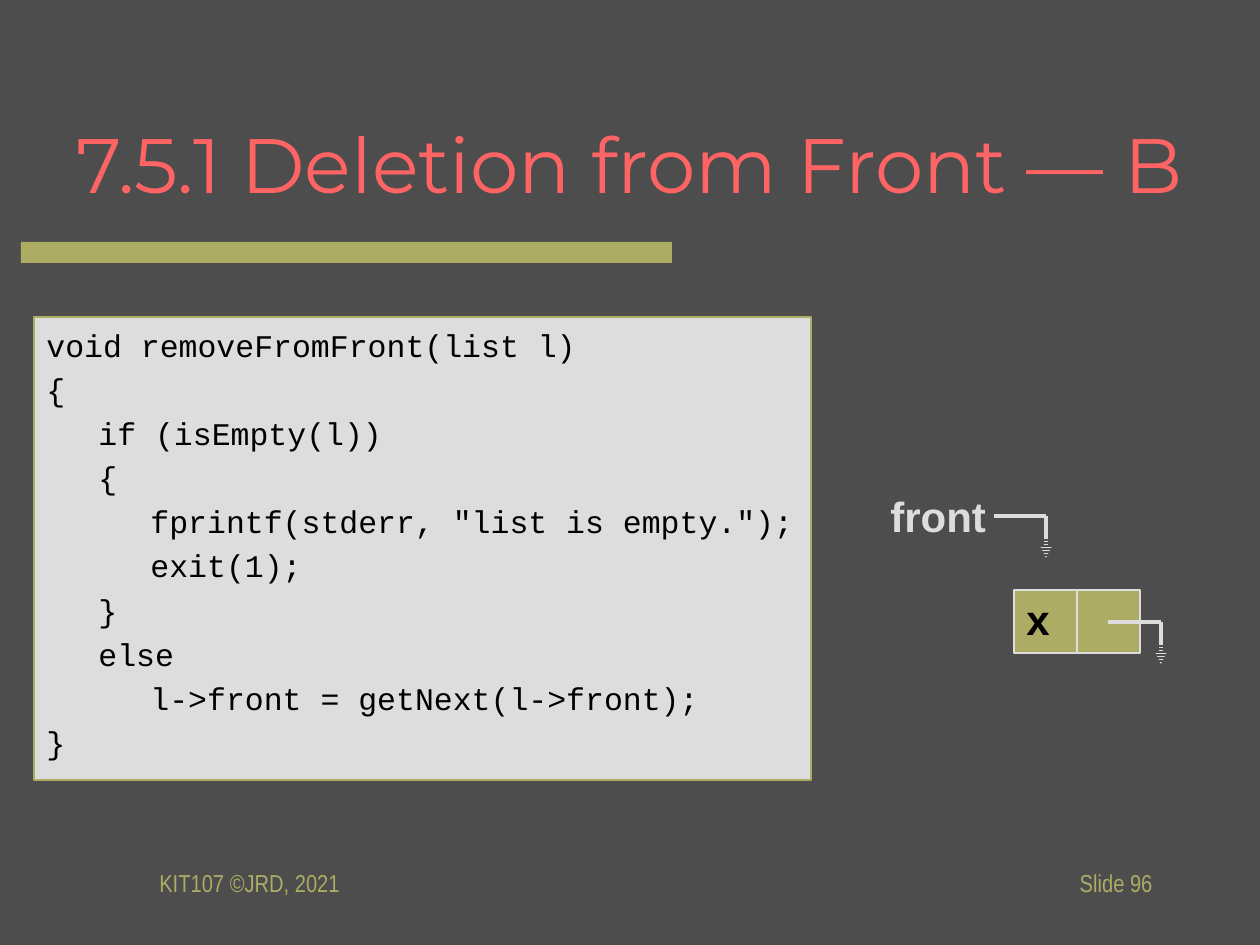
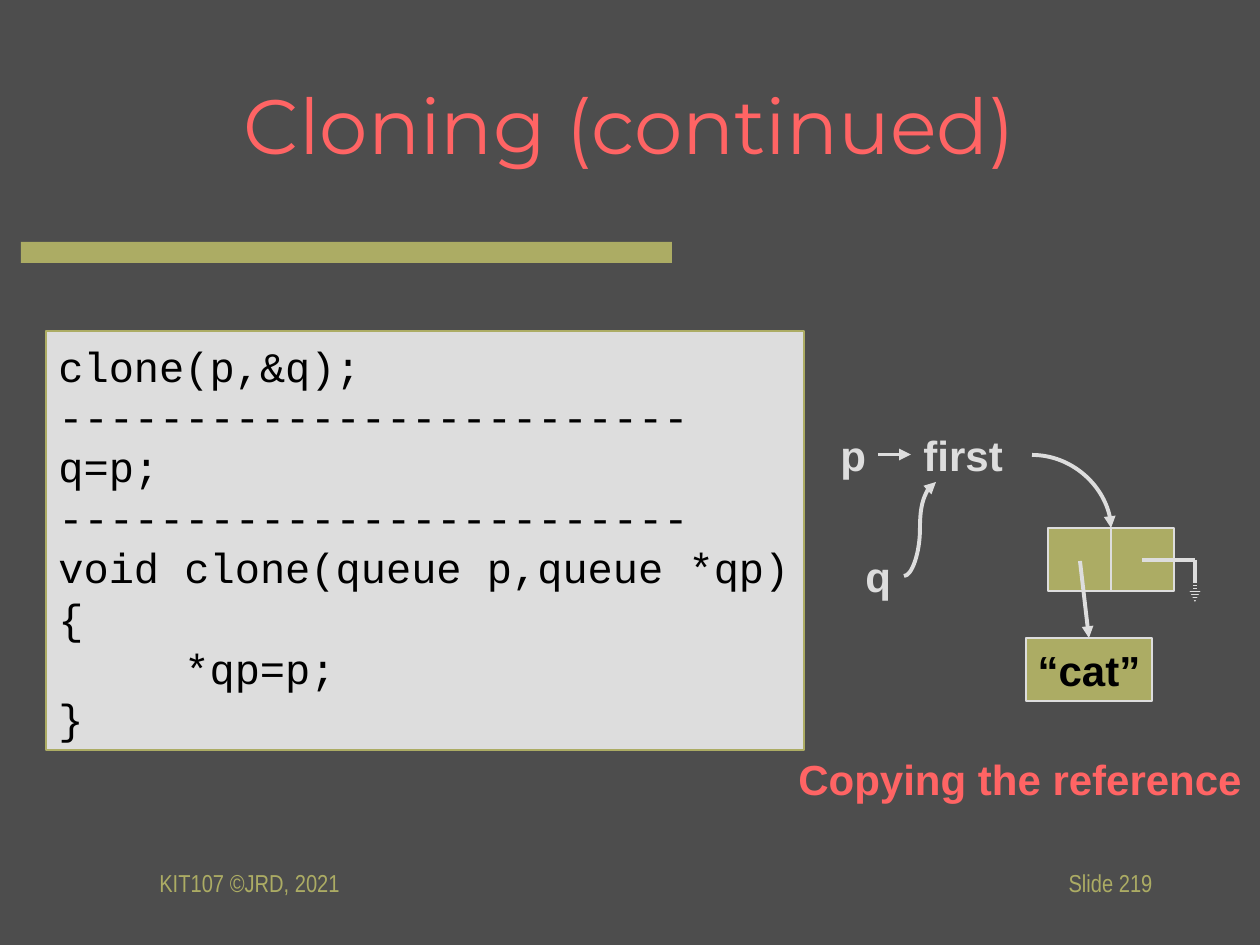
import dataclasses

import pptx
import pptx.dml.color
import pptx.enum.shapes
import pptx.enum.text
import pptx.oxml
import pptx.oxml.ns
import pptx.util
import lxml.etree

PX = pptx.util.Inches(1) / 126
ALIGN = pptx.enum.text.PP_ALIGN
ANCHOR = pptx.enum.text.MSO_ANCHOR
CONNECTOR = pptx.enum.shapes.MSO_CONNECTOR
qn = pptx.oxml.ns.qn


@dataclasses.dataclass(frozen=True)
class Theme:
    backdrop: str = "4D4D4D"
    olive: str = "ACAC64"
    pale: str = "DDDDDD"
    coral: str = "FF6464"
    ink: str = "000000"
    title_font: str = "Montserrat"
    label_font: str = "Arial"
    footer_font: str = "Arial Narrow"
    code_font: str = "Courier New"
    title_size: int = 44
    label_size: int = 24
    footer_size: int = 14
    thin: float = 1
    thick: float = 2.25


THEME = Theme()

REMOVE_CODE = """void removeFromFront(list l)
{
\tif (isEmpty(l))
\t{
\t\tfprintf(stderr, "list is empty.");
\t\texit(1);
\t}
\telse
\t\tl->front = getNext(l->front);
}"""

CLONE_CODE = """clone(p,&q);
-------------------------
q=p;
-------------------------
void clone(queue p,queue *qp)
{
\t*qp=p;
}"""


def emu(px):
    return round(px * PX)


def rgb(value):
    return pptx.dml.color.RGBColor.from_string(value)


def set_tabs(paragraph, step):
    tabs = lxml.etree.SubElement(paragraph._p.get_or_add_pPr(), qn("a:tabLst"))
    for level in (1, 2):
        lxml.etree.SubElement(tabs, qn("a:tab"), pos=str(emu(level * step)), algn="l")


def write(shape, text, font=THEME.label_font, size=THEME.label_size, color=THEME.pale,
          bold=False, align=ALIGN.LEFT, anchor=ANCHOR.MIDDLE, wrap=False,
          top_inset=6, tab_step=None, line_pitch=None, gap=0):
    frame = shape.text_frame
    frame.auto_size = pptx.enum.text.MSO_AUTO_SIZE.NONE
    frame.word_wrap = wrap
    frame.vertical_anchor = anchor
    frame.margin_top = emu(top_inset)
    for index, line in enumerate(text.split("\n")):
        paragraph = frame.add_paragraph() if index else frame.paragraphs[0]
        if tab_step:
            set_tabs(paragraph, tab_step)
        paragraph.alignment = align
        if line_pitch:
            paragraph.line_spacing = pptx.util.Pt(line_pitch)
        if index and gap:
            paragraph.space_before = pptx.util.Pt(gap)
        run = paragraph.add_run()
        run.text = line
        run.font.name = font
        run.font.size = pptx.util.Pt(size)
        run.font.bold = bold
        run.font.color.rgb = rgb(color)


def add_label(slide, text, left, top, width, height=63, **text_format):
    label = slide.shapes.add_textbox(*map(emu, (left, top, width, height)))
    write(label, text, **text_format)
    return label


def add_box(slide, left, top, width, height, fill=THEME.olive, outline=None):
    box = slide.shapes.add_shape(pptx.enum.shapes.MSO_SHAPE.RECTANGLE,
                                 *map(emu, (left, top, width, height)))
    box.shadow.inherit = False
    box.fill.solid()
    box.fill.fore_color.rgb = rgb(fill)
    if outline:
        box.line.color.rgb = rgb(outline)
        box.line.width = pptx.util.Pt(THEME.thin)
    else:
        box.line.fill.background()
    return box


def add_line(slide, start, end, color=THEME.pale, width=THEME.thick, arrow=False,
             kind=CONNECTOR.STRAIGHT):
    line = slide.shapes.add_connector(kind, *map(emu, (*start, *end)))
    line.line.color.rgb = rgb(color)
    line.line.width = pptx.util.Pt(width)
    properties = line.element.spPr
    if arrow:
        lxml.etree.SubElement(properties.find(qn("a:ln")), qn("a:tailEnd"), type="triangle")
    lxml.etree.SubElement(properties, qn("a:effectLst"))
    return line


def add_ground(slide, left, top, reach):
    right, tip = left + reach, top + 42
    add_line(slide, (left, top), (right, top))
    add_line(slide, (right, top), (right, tip), arrow=True)
    for stripe in range(tip - 18, tip, 3):
        add_line(slide, (right - 16, stripe), (right + 16, stripe),
                 color=THEME.backdrop, width=THEME.thin)


def add_node(slide, left, top):
    node = add_box(slide, left, top, 126, 63, outline=THEME.pale)
    divider = add_line(slide, (left + 63, top), (left + 63, top + 63), width=THEME.thin)
    divider.begin_connect(node, 0)
    divider.end_connect(node, 2)
    add_ground(slide, left + 94, top + 32, 53)


def add_code(slide, code, left, top, width, height, size, **text_format):
    panel = add_box(slide, left, top, width, height, fill=THEME.pale, outline=THEME.olive)
    write(panel, code, font=THEME.code_font, size=size, color=THEME.ink, top_inset=9,
          anchor=ANCHOR.TOP, line_pitch=size * 1.2, **text_format)


def start_slide(deck, title, number, left, top, width):
    slide = deck.slides.add_slide(deck.slide_layouts[5])
    heading = slide.shapes.title
    heading.left, heading.top, heading.width, heading.height = map(emu, (left, top, width, 158))
    write(heading, title, font=THEME.title_font, size=THEME.title_size, color=THEME.coral,
          align=ALIGN.CENTER, wrap=True)
    add_box(slide, 21, 242, 651, 21)
    for text, edge, align in (("KIT107 ©JRD, 2021", 147, ALIGN.LEFT),
                              (f"Slide {number}", 903, ALIGN.RIGHT)):
        add_label(slide, text, edge, 851, 262, font=THEME.footer_font,
                  size=THEME.footer_size, color=THEME.olive, align=align, wrap=True)
    return slide


def build_deletion(deck):
    slide = start_slide(deck, "7.5.1 Deletion from Front — B", 96, 0, 84, 1260)
    add_code(slide, REMOVE_CODE, 34, 317, 777, 463, 18, tab_step=52, gap=3.6)
    add_label(slide, "front", 878, 484, 121, bold=True)
    add_ground(slide, 994, 516, 52)
    add_node(slide, 1014, 590)
    add_label(slide, "x", 1014, 587, 49, color=THEME.ink, bold=True)


def build_cloning(deck):
    slide = start_slide(deck, "Cloning (continued)", 219, 94, 45, 1071)
    add_code(slide, CLONE_CODE, 46, 331, 758, 419, 24, tab_step=126, wrap=True)

    p = add_label(slide, "p", 828, 423, 50, bold=True)
    first = add_label(slide, "first", 911, 423, 105, bold=True)
    p_to_first = add_line(slide, (878, 455), (911, 455), arrow=True)
    p_to_first.begin_connect(p, 3)
    p_to_first.end_connect(first, 1)
    add_label(slide, "q", 853, 544, 50, bold=True)
    add_line(slide, (904, 576), (936, 482), arrow=True, kind=CONNECTOR.CURVE)

    add_node(slide, 1048, 528)
    first_to_node = add_line(slide, (1032, 455), (1111, 528), arrow=True, kind=CONNECTOR.CURVE)
    first_to_node.element.spPr.find(qn("a:prstGeom")).set("prst", "curvedConnector2")

    cat = add_box(slide, 1026, 638, 126, 63, outline=THEME.pale)
    write(cat, "“cat”", color=THEME.ink, bold=True, align=ALIGN.CENTER)
    node_to_cat = add_line(slide, (1080, 561), (1089, 638), arrow=True)
    node_to_cat.end_connect(cat, 0)
    add_label(slide, "Copying the reference", 786, 747, 469, color=THEME.coral, bold=True)


def main():
    deck = pptx.Presentation()
    deck.slide_width, deck.slide_height = emu(1260), emu(945)
    backdrop = deck.slide_master.background.fill
    backdrop.solid()
    backdrop.fore_color.rgb = rgb(THEME.backdrop)
    build_deletion(deck)
    build_cloning(deck)
    deck.save("out.pptx")


if __name__ == "__main__":
    main()
